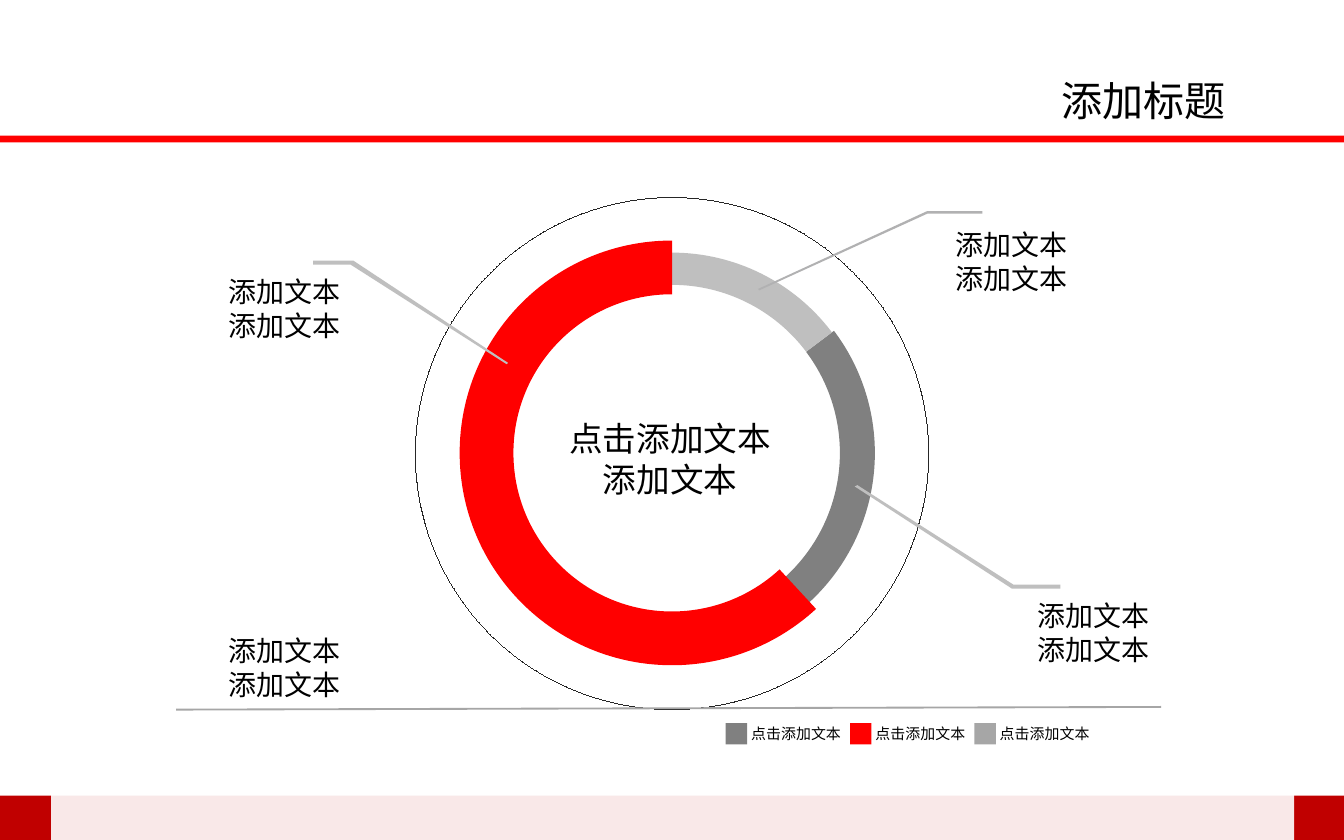
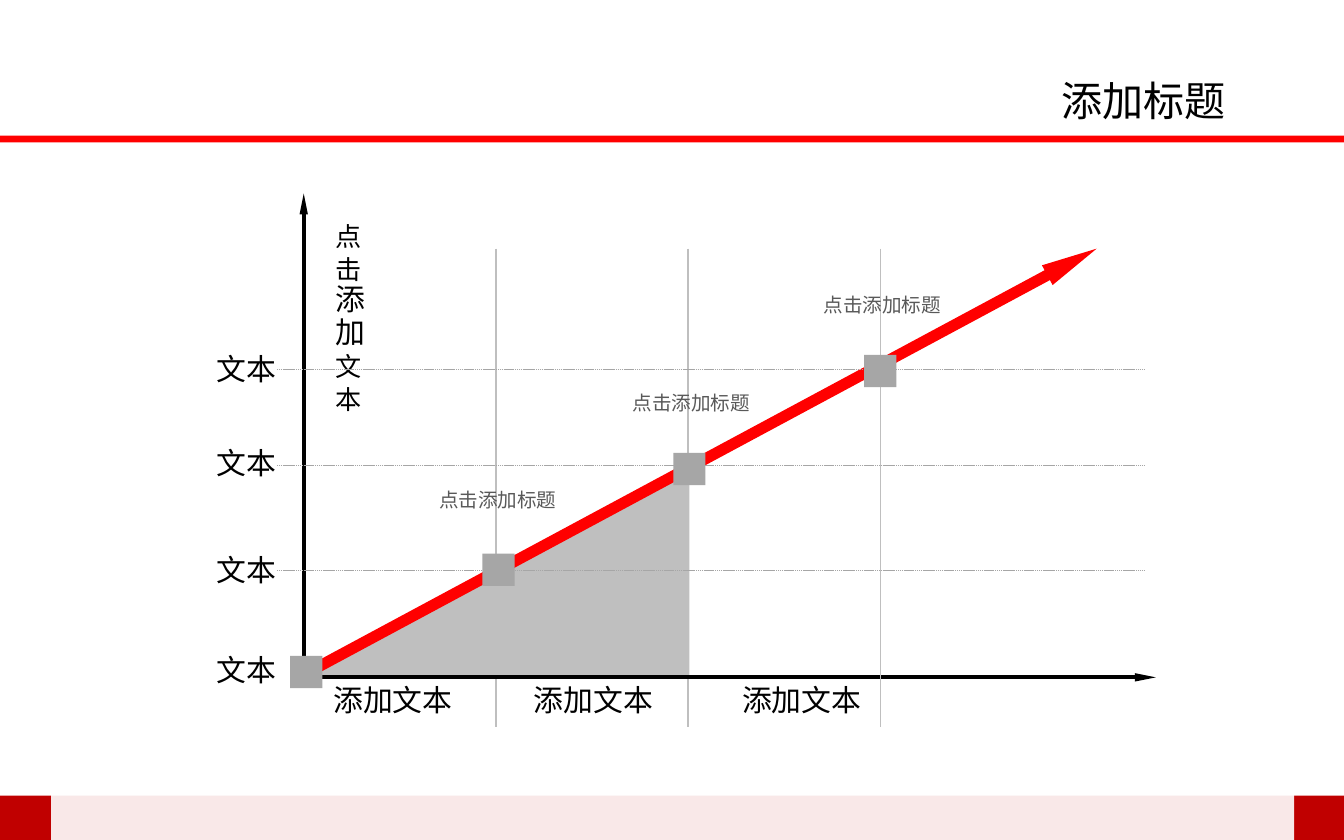
from math import cos, radians, sin, tan

from lxml import etree
from pptx import Presentation
from pptx.dml.color import RGBColor
from pptx.enum.dml import MSO_LINE
from pptx.enum.shapes import MSO_CONNECTOR, MSO_SHAPE as SHAPE
from pptx.enum.text import MSO_ANCHOR, MSO_AUTO_SIZE, PP_ALIGN as ALIGN
from pptx.oxml.ns import qn
from pptx.util import Inches, Pt

FONT = "Noto Sans CJK SC"
COLORS = {
    "red": "FF0000", "dark_red": "C00000", "white": "FFFFFF", "black": "000000",
    "outline": "262626", "text_gray": "595959", "dark_gray": "808080",
    "gray": "A6A6A6", "leader": "B1B1B2", "light_gray": "BFBFBF",
}


def rgb(name):
    return RGBColor.from_string(COLORS[name])


def paint(sp, color):
    sp.shadow.inherit = False
    sp.fill.solid()
    sp.fill.fore_color.rgb = rgb(color)
    sp.line.fill.background()
    return sp


def add_block(shapes, kind, x, y, w, h, color):
    return paint(shapes.add_shape(kind, Inches(x), Inches(y), Inches(w), Inches(h)), color)


def add_polygon(shapes, points, color):
    points = [(Inches(x), Inches(y)) for x, y in points]
    builder = shapes.build_freeform(*points[0])
    builder.add_line_segments(points[1:], close=True)
    return paint(builder.convert_to_shape(), color)


def add_line(shapes, start, end, color, width, arrow=False, dashed=False):
    ends = [Inches(v) for v in (*start, *end)]
    line = shapes.add_connector(MSO_CONNECTOR.STRAIGHT, *ends)
    line.line.color.rgb = rgb(color)
    line.line.width = Pt(width)
    if dashed:
        line.line.dash_style = MSO_LINE.SQUARE_DOT
    if arrow:
        etree.SubElement(line.line._get_or_add_ln(), qn("a:tailEnd"),
                         type="triangle", w="sm", len="lg")
    etree.SubElement(line.element.spPr, qn("a:effectLst"))
    return line


def write(sp, paragraphs, color="black", align=ALIGN.LEFT, leading=None):
    """Fill a text shape; each paragraph is a list of (text, size) runs."""
    tf = sp.text_frame
    tf.word_wrap = True
    tf.auto_size = MSO_AUTO_SIZE.SHAPE_TO_FIT_TEXT
    tf.vertical_anchor = MSO_ANCHOR.TOP
    for i, runs in enumerate(paragraphs):
        p = tf.add_paragraph() if i else tf.paragraphs[0]
        p.alignment = align
        p.line_spacing = Pt(leading or 1.21 * runs[0][1])
        for text, size in runs:
            r = p.add_run()
            r.text = text
            r.font.size = Pt(size)
            r.font.name = FONT
            r.font.color.rgb = rgb(color)
            etree.SubElement(r.font._element, qn("a:ea"), typeface=FONT)


def add_text(shapes, x, y, w, h, lines, size, **style):
    box = shapes.add_textbox(Inches(x), Inches(y), Inches(w), Inches(h))
    write(box, [[(line, size)] for line in lines], **style)


def add_bands_to_master(prs, s):
    """Draw the shared bands on a slide, then move them to the master."""
    footer = add_block(s.shapes, SHAPE.RECTANGLE, 0, 5.92, 10, 0.34, "dark_red")
    panel = add_block(s.shapes, SHAPE.RECTANGLE, 0.38, 0, 9.25, 6.26, "white")
    color = panel.element.spPr.find(".//" + qn("a:srgbClr"))
    etree.SubElement(color, qn("a:alpha"), val="91000")
    rule = add_block(s.shapes, SHAPE.RECTANGLE, 0, 1.01, 10, 0.05, "red")
    for i, band in enumerate((footer, panel, rule)):
        prs.slide_master.shapes.element.insert(2 + i, band.element)


def add_titled_slide(prs, title):
    s = prs.slides.add_slide(prs.slide_layouts[5])
    sp = s.shapes.title
    sp.left, sp.top, sp.width, sp.height = (Inches(v) for v in (7.76, 0.51, 1.46, 0.47))
    write(sp, [[(title, 22)]], align=ALIGN.RIGHT)
    return s


def arc_points(radius, angles):
    """Return Bezier points of an arc around the ring's centre, clockwise from the top."""
    def point(angle, shift=0):
        a = radians(angle)
        return (5 + radius * (sin(a) + shift * cos(a)),
                3.37 - radius * (cos(a) - shift * sin(a)))

    points = [point(angles[0])]
    for a, b in zip(angles, angles[1:]):
        pull = 4 / 3 * tan(radians(b - a) / 4)
        points += [point(a, pull), point(b, -pull), point(b)]
    return points


def add_ring_sector(shapes, inner, outer, angles, color):
    outside = arc_points(outer, angles)
    inside = arc_points(inner, angles[::-1])
    sp = add_polygon(shapes, outside + inside, color)
    edges = sp.element.findall(".//" + qn("a:lnTo"))
    for first in (0, len(outside)):
        for i in range(first, first + len(outside) - 1, 3):
            curve = etree.Element(qn("a:cubicBezTo"))
            edges[i].addprevious(curve)
            for edge in edges[i:i + 3]:
                curve.append(edge[0])
                edge.getparent().remove(edge)


def add_ring(s):
    ring = s.shapes.add_group_shape().shapes
    add_ring_sector(ring, 1.25, 1.51, [53, 90, 147], "dark_gray")
    add_ring_sector(ring, 1.25, 1.49, [-2, 0, 53], "light_gray")
    add_ring_sector(ring, 1.18, 1.58, [137.3, 180, 270, 360], "red")
    circle = add_block(s.shapes, SHAPE.OVAL, 3.09, 1.47, 3.82, 3.81, "white")
    circle.fill.background()
    circle.line.color.rgb = rgb("outline")
    circle.line._get_or_add_ln().set("w", "0")


def add_legend(s):
    legend = s.shapes.add_group_shape().shapes
    for i, color in enumerate(("dark_gray", "red", "gray")):
        x = 5.4 + 0.925 * i
        add_block(legend, SHAPE.RECTANGLE, x, 5.38, 0.16, 0.16, color)
        add_text(legend, x + 0.09, 5.34, 1.18, 0.24, ["点击添加文本"], 8)


def fill_ring_slide(s):
    add_ring(s)
    leaders = [
        ("leader", [(5.65, 2.16), (5.64, 2.15), (6.9, 1.57), (7.31, 1.57),
                    (7.31, 1.59), (6.9, 1.59)]),
        ("light_gray", [(7.89, 4.38), (7.53, 4.38), (6.36, 3.62), (6.38, 3.61),
                        (7.54, 4.35), (7.89, 4.35)]),
        ("light_gray", [(3.77, 2.71), (2.61, 1.97), (2.33, 1.97), (2.33, 1.94),
                        (2.63, 1.94), (3.78, 2.7)]),
    ]
    for color, points in leaders:
        add_polygon(s.shapes, points, color)

    def add_callout(x, y, w, align=ALIGN.LEFT):
        add_text(s.shapes, x, y, w, 0.61, ["添加文本"] * 2, 15, align=align)

    add_callout(7.01, 1.64, 1.27)
    add_callout(7.62, 4.4, 1.37)
    add_callout(1.39, 1.99, 1.24, ALIGN.RIGHT)
    add_text(s.shapes, 3.74, 3.06, 2.49, 0.71, ["点击添加文本", "添加文本"], 18,
             align=ALIGN.CENTER)
    add_line(s.shapes, (1.31, 5.28), (8.64, 5.26), "gray", 1)
    add_callout(1.39, 4.66, 1.24, ALIGN.RIGHT)
    add_legend(s)


def fill_growth_slide(s):
    shapes = s.shapes
    origin_x, origin_y = 2.26, 5.04

    def add_column_line(x):
        add_line(shapes, (x, 1.85), (x, 5.41), "light_gray", 0.75)

    def add_row_label(y):
        add_text(shapes, 1.4, y, 0.87, 0.39, ["文本"], 16, align=ALIGN.CENTER)

    def add_marker(x, y):
        add_block(shapes, SHAPE.RECTANGLE, x, y, 0.24, 0.24, "gray")

    add_column_line(5.12)
    add_line(shapes, (origin_x, 5.03), (origin_x, 1.44), "black", 2.25, arrow=True)
    axis_title = shapes.add_textbox(Inches(2.4), Inches(1.58), Inches(0.34), Inches(1.68))
    write(axis_title, [[("点击", 14), ("添加", 16), ("文本", 14)]],
          align=ALIGN.CENTER, leading=17.5)
    area = add_block(shapes, SHAPE.RIGHT_TRIANGLE, origin_x, 3.51, 2.87, 1.53, "light_gray")
    area.element.spPr.xfrm.set("flipH", "1")
    add_column_line(3.69)
    add_line(shapes, (origin_x, 5.02), (8.16, 1.85), "red", 6, arrow=True)
    add_line(shapes, (origin_x, origin_y), (8.6, origin_y), "black", 2.25, arrow=True)
    add_column_line(6.55)

    for x, y in ((3.12, 3.58), (4.56, 2.86), (5.98, 2.13)):
        add_text(shapes, x, y, 1.17, 0.28, ["点击添加标题"], 10.5,
                 color="text_gray", align=ALIGN.CENTER)
    for x, w in ((2.26, 1.33), (3.82, 1.19), (5.38, 1.17)):
        add_text(shapes, x, 5.02, w, 0.36, ["添加文本"], 16, align=ALIGN.CENTER)
    for y in (2.75, 3.46, 4.24):
        add_line(shapes, (2.06, y), (8.51, y), "gray", 0.25, dashed=True)
    for y in (2.56, 3.26, 4.05):
        add_row_label(y)
    add_marker(5.01, 3.37)
    add_row_label(4.8)
    for x, y in ((6.43, 2.64), (3.59, 4.12), (2.16, 4.88)):
        add_marker(x, y)


def main():
    prs = Presentation()
    prs.slide_width, prs.slide_height = Inches(10), Inches(6.25)
    ring_slide = add_titled_slide(prs, "添加标题")
    add_bands_to_master(prs, ring_slide)
    fill_ring_slide(ring_slide)
    fill_growth_slide(add_titled_slide(prs, "添加标题"))
    prs.save("out.pptx")


if __name__ == "__main__":
    main()
